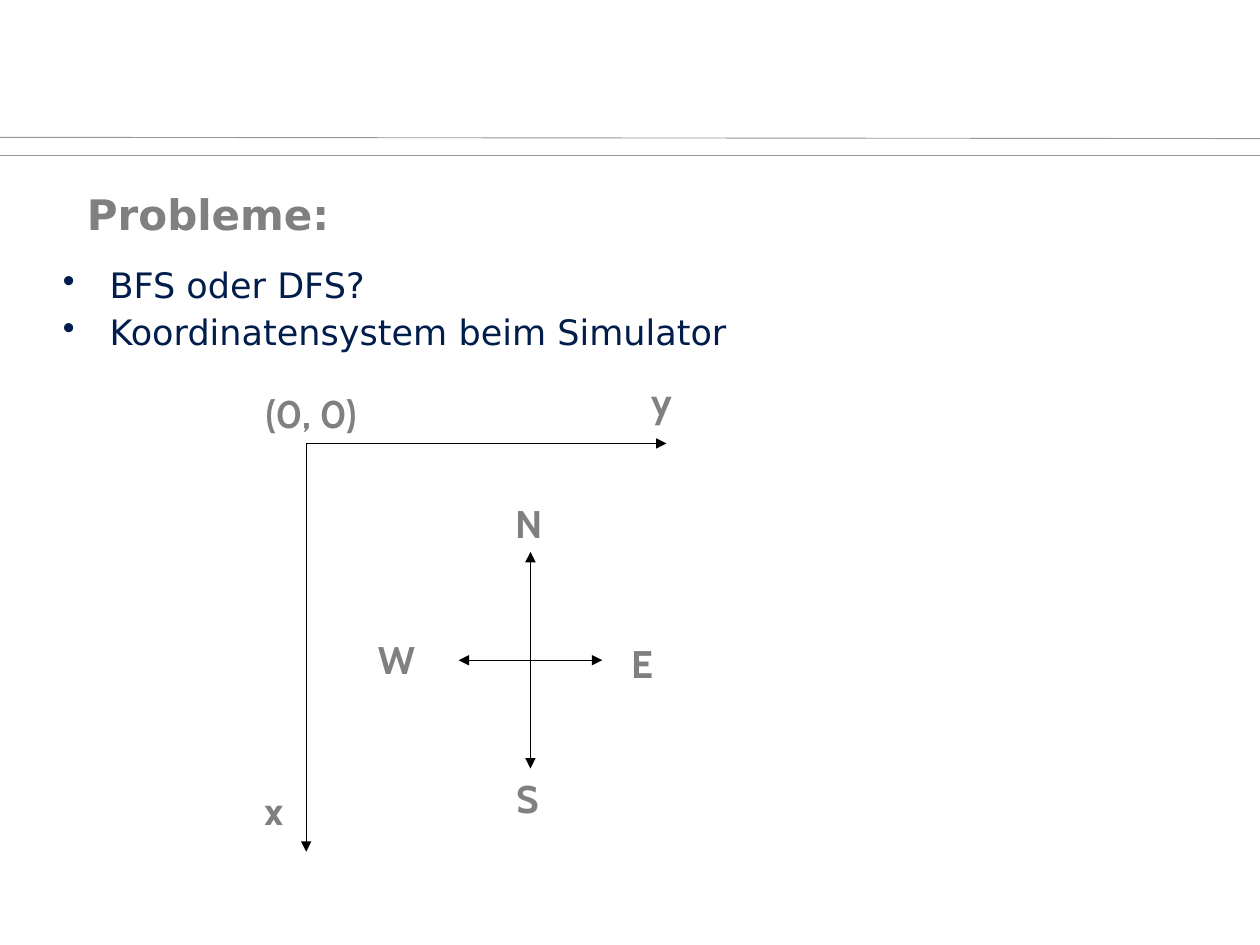
from lxml import etree
from pptx import Presentation
from pptx.dml.color import RGBColor
from pptx.enum.shapes import MSO_CONNECTOR
from pptx.enum.text import MSO_ANCHOR
from pptx.oxml.ns import qn
from pptx.util import Inches, Pt

STRAIGHT = MSO_CONNECTOR.STRAIGHT
TOP, MIDDLE = MSO_ANCHOR.TOP, MSO_ANCHOR.MIDDLE
COLORS = {"rule": "969696", "arrow": "000000", "label": "808080", "body": "001D4B"}

prs = Presentation()
prs.slide_width, prs.slide_height = Inches(10), Inches(7.5)
COL, ROW = prs.slide_width / 10, prs.slide_height / 7.5
s = prs.slides.add_slide(prs.slide_layouts[6])


def add_line(start, end, color, width, arrow=False):
    (x1, y1), (x2, y2) = start, end
    line = s.shapes.add_connector(STRAIGHT, int(x1 * COL), int(y1 * ROW),
                                  int(x2 * COL), int(y2 * ROW))
    line.line.color.rgb = RGBColor.from_string(COLORS[color])
    line.line.width = Pt(width)
    if arrow:
        etree.SubElement(line.line._get_or_add_ln(), qn("a:tailEnd"), type="triangle")
    etree.SubElement(line._element.spPr, qn("a:effectLst"))


def add_text(box, lines, font, size, color, bold=False, insets=(0.1, 0.05, 0.1, 0.05),
             anchor=TOP):
    """Add a text box; box and insets are in columns and rows."""
    x, y, w, h = box
    sp = s.shapes.add_textbox(int(x * COL), int(y * ROW), int(w * COL), int(h * ROW))
    tf = sp.text_frame
    tf.word_wrap = True
    tf.vertical_anchor = anchor
    tf.margin_left, tf.margin_top, tf.margin_right, tf.margin_bottom = map(Inches, insets)
    tf.text = "\n".join(lines)
    for p in tf.paragraphs:
        f = p.runs[0].font
        f.name, f.size, f.bold = font, Pt(size), bold
        f.color.rgb = RGBColor.from_string(COLORS[color])
    return tf


# Double rule under the header
add_line((0, 1.23), (10, 1.23), "rule", 0.5)
add_line((0, 1.09), (10, 1.1), "rule", 0.5)

# Heading and bullets
add_text((0.69, 1.39, 8.21, 0.61), ["Probleme:"], "DejaVu Sans", 24, "label", True,
         (0, 0.05, 0.1, 0.05), MIDDLE)
tf = add_text((0.5, 2.1, 9, 5.4), ["BFS oder DFS?", "Koordinatensystem beim Simulator"],
              "DejaVu Sans", 20, "body", insets=(0, 0.01, 0, 0))
for p in tf.paragraphs:
    p.line_spacing = 0.97
    p.space_before = Pt(3.5)
    pPr = p._p.get_or_add_pPr()
    pPr.set("marL", str(Inches(0.37)))
    pPr.set("indent", str(-Inches(0.37)))
    etree.SubElement(pPr, qn("a:buChar"), char="•")

# Coordinate axes and compass arrows
origin, center = (2.43, 3.52), (4.21, 5.24)
for end in [(5.29, 3.52), (2.43, 6.76)]:
    add_line(origin, end, "arrow", 0.75, arrow=True)
for dx, dy in [(0.57, 0), (0, 0.86), (-0.57, 0), (0, -0.86)]:
    add_line(center, (center[0] + dx, center[1] + dy), "arrow", 0.75, arrow=True)

# Axis and compass labels
labels = {
    "(0, 0)": (2.01, 3.05, 1.19, 0.49),
    "y": (5.07, 2.95, 0.29, 0.49),
    "x": (2, 6.2, 0.43, 0.58),
    "N": (3.99, 3.92, 0.5, 0.49),
    "S": (4, 6.1, 0.5, 0.49),
    "W": (2.9, 5, 0.5, 0.54),
    "E": (4.91, 5.03, 0.69, 0.49),
}
for text, box in labels.items():
    add_text(box, [text], "Cabin", 22, "label", True)

prs.save("out.pptx")
